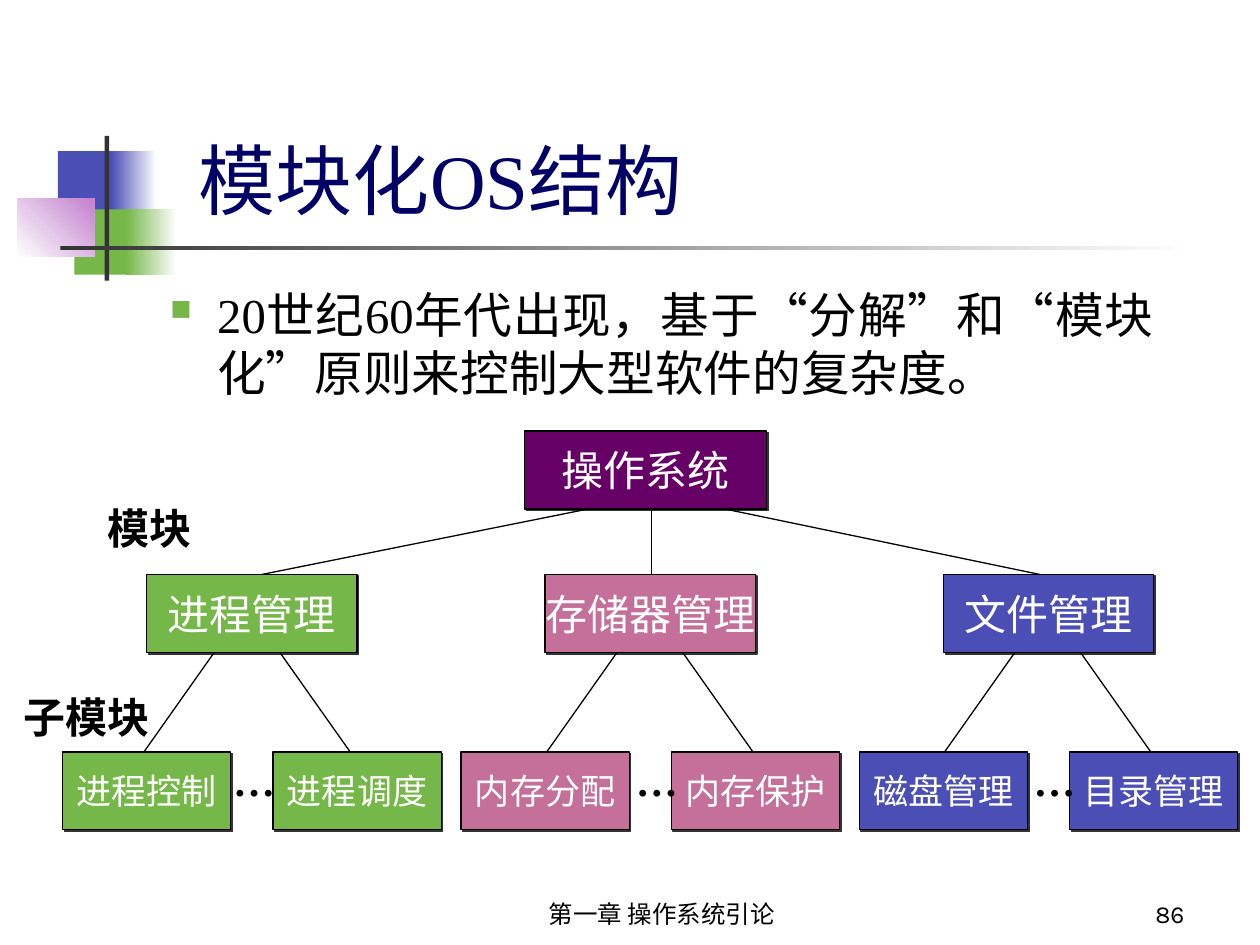
"""Build the slide on modular operating system structure."""
from lxml.etree import SubElement
from pptx import Presentation
from pptx.dml.color import RGBColor
from pptx.enum.shapes import MSO_CONNECTOR as Link, MSO_SHAPE as Kind
from pptx.enum.text import MSO_ANCHOR as Anchor, MSO_AUTO_SIZE as Auto, PP_ALIGN as Align
from pptx.oxml.ns import qn
from pptx.util import Cm, Pt

BLUE = RGBColor(0x4B, 0x4E, 0xB5)
GREEN = RGBColor(0x76, 0xB7, 0x49)
PINK = RGBColor(0xC4, 0x70, 0x9A)
LILAC = RGBColor(0xC4, 0x81, 0xCF)
PURPLE = RGBColor(0x66, 0x00, 0x66)
NAVY = RGBColor(0x00, 0x00, 0x66)
GREY = RGBColor(0x33, 0x33, 0x33)
BLACK = RGBColor(0, 0, 0)
WHITE = RGBColor(255, 255, 255)
SANS, SERIF = "Karla", "Times New Roman"

DECOR = [
    ((1.17, 3.05, 1.22, 1.32), (BLUE,), 0),
    ((2.24, 3.05, 0.91, 1.32), (BLUE, WHITE), 0),
    ((1.5, 4.22, 1.17, 1.32), (GREEN,), 0),
    ((2.54, 4.22, 1.02, 1.32), (GREEN, WHITE), 0),
    ((0.35, 4.01, 1.55, 1.17), (WHITE, LILAC), 45),
    ((2.11, 2.74, 0.09, 2.92), (GREY,), 0),
    ((1.22, 4.95, 22.86, 0.09), (GREY, WHITE), 0),
]
TITLE = "模块化OS结构"
BODY = "20世纪60年代出现，基于“分解”和“模块化”原则来控制大型软件的复杂度。"
FOOTER, NUMBER = "第一章 操作系统引论", "86"
ROOT = "操作系统"
BRANCHES = [
    ("进程管理", GREEN, ("进程控制", "进程调度"), 4.98, 11.86, 5.28),
    ("存储器管理", PINK, ("内存分配", "内存保护"), 13.1, 13.13, 13.13),
    ("文件管理", BLUE, ("磁盘管理", "目录管理"), 21.12, 14.61, 20.96),
]
LABELS = [("模块", 1.91, 10.01, 2.18), ("子模块", 0.23, 13.82, 3.05)]

HIGH = 1.57
TOP, MID, LOW = 8.69, 11.58, 15.16
HUB, FIRST, STEP = 13.02, 5.08, 8.03
SPREAD = 2.12

deck = Presentation()
deck.slide_width, deck.slide_height = Cm(25.4), Cm(19.05)
slide = deck.slides.add_slide(deck.slide_layouts[6])
shapes = slide.shapes


def style(frame, text, size, color, font, bold=False):
    frame.text = text
    para = frame.paragraphs[0]
    face = para.runs[0].font
    face.size, face.name, face.bold = Pt(size), font, bold
    face.color.rgb = color
    return para


def write(box, text, size, color=BLACK, font=SANS, bold=False, wrap=True, anchor=Anchor.TOP):
    frame = shapes.add_textbox(*map(Cm, box)).text_frame
    frame.word_wrap, frame.vertical_anchor = wrap, anchor
    return style(frame, text, size, color, font, bold)


def block(box, colors, angle=0):
    part = shapes.add_shape(Kind.RECTANGLE, *map(Cm, box))
    part.shadow.inherit = False
    part.line.fill.background()
    if len(colors) == 1:
        part.fill.solid()
        part.fill.fore_color.rgb = colors[0]
    else:
        part.fill.gradient()
        part.fill.gradient_angle = angle
        for stop, color, place in zip(part.fill.gradient_stops, colors, (0, 1)):
            stop.color.rgb, stop.position = color, place
    return part


def edge(line):
    line.color.rgb, line.width = BLACK, Pt(0.74)


def node(text, mid, top, wide, color, size):
    part = block((mid - wide / 2, top, wide, HIGH), (color,))
    edge(part.line)
    glow = SubElement(part.element.spPr.find(qn("a:effectLst")), qn("a:outerShdw"),
                      dist=str(Pt(1.4)), dir="2700000", algn="ctr", rotWithShape="0")
    SubElement(glow, qn("a:srgbClr"), val=str(GREY))
    frame = part.text_frame
    frame.word_wrap, frame.vertical_anchor = False, Anchor.MIDDLE
    style(frame, text, size, WHITE, SANS).alignment = Align.CENTER


def wire(x1, y1, x2, y2):
    line = shapes.add_connector(Link.STRAIGHT, Cm(x1), Cm(y1), Cm(x2), Cm(y2))
    edge(line.line)
    SubElement(line.element.spPr, qn("a:effectLst"))


def bullet(para, color, indent):
    props = para._p.get_or_add_pPr()
    props.set("marL", str(indent))
    props.set("indent", str(-indent))
    SubElement(SubElement(props, qn("a:buClr")), qn("a:srgbClr"), val=str(color))
    SubElement(props, qn("a:buSzPct"), val="60000")
    SubElement(props, qn("a:buChar"), char="■")


for box, colors, angle in DECOR:
    block(box, colors, angle)

write((9.32, 17.58, 8.05, 1.27), FOOTER, 14, anchor=Anchor.BOTTOM).alignment = Align.CENTER
write((18.85, 17.58, 5.28, 1.27), NUMBER, 14, anchor=Anchor.BOTTOM).alignment = Align.RIGHT
write((3.76, 1.47, 20.75, 3.18), TITLE, 44, NAVY, SERIF, anchor=Anchor.BOTTOM)
para = write((3.18, 5.61, 20.32, 3.28), BODY, 27.8, font=SERIF)
para.alignment, para.line_spacing, para.space_before = Align.JUSTIFY, 1.0, Pt(7.5)
bullet(para, GREEN, Cm(0.95))

node(ROOT, HUB, TOP, 4.88, PURPLE, 24)
for i, (name, color, kids, axis, start, end) in enumerate(BRANCHES):
    mid = FIRST + i * STEP
    node(name, mid, MID, 4.24, color, 24)
    wire(start, TOP + HIGH, end, MID)
    for kid, side in zip(kids, (-1, 1)):
        node(kid, mid + side * SPREAD, LOW, 3.39, color, 20)
        wire(axis + side * 0.66, MID + HIGH, axis + side * 2.08, LOW)
    dots = write((axis - 0.53, 15.08, 1.06, 1.27), "…", 24, font=SERIF, bold=True)
    dots.space_before = Pt(15)

for text, left, top, wide in LABELS:
    write((left, top, wide, 1.27), text, 24, bold=True, wrap=False)

for shape in shapes:
    if shape.has_text_frame:
        shape.text_frame.auto_size = Auto.NONE

deck.save("out.pptx")
